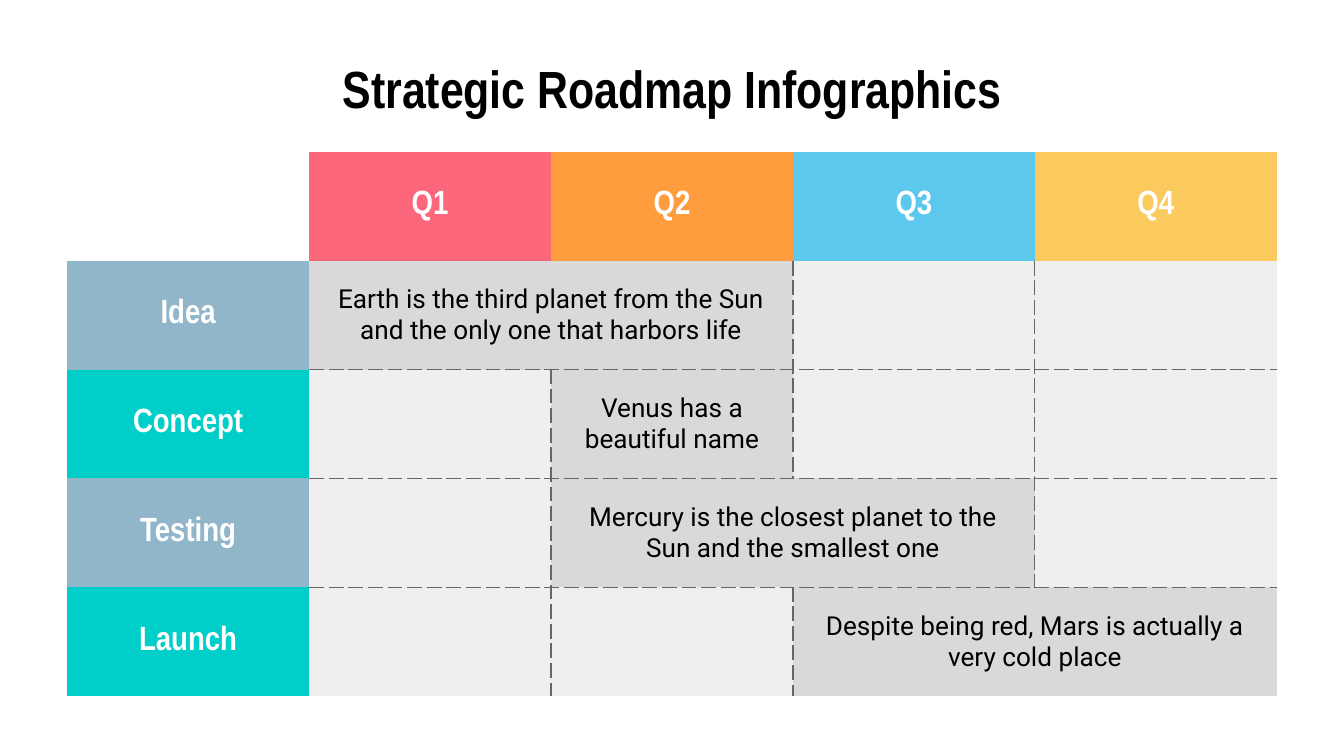
from pptx import Presentation
from pptx.dml.color import RGBColor
from pptx.enum.text import MSO_ANCHOR, MSO_AUTO_SIZE, PP_ALIGN
from pptx.oxml import parse_xml
from pptx.oxml.ns import nsdecls
from pptx.util import Inches, Pt

BLACK = RGBColor(0x00, 0x00, 0x00)
WHITE = RGBColor(0xFF, 0xFF, 0xFF)
PINK = RGBColor(0xFD, 0x67, 0x7B)
ORANGE = RGBColor(0xFF, 0x9C, 0x3E)
SKY = RGBColor(0x5C, 0xC8, 0xEE)
YELLOW = RGBColor(0xFB, 0xCA, 0x5F)
STEEL = RGBColor(0x92, 0xB6, 0xC9)
TEAL = RGBColor(0x00, 0xCE, 0xC8)
BAR = RGBColor(0xD9, 0xD9, 0xD9)
EMPTY = RGBColor(0xEF, 0xEF, 0xEF)
GRID = RGBColor(0x66, 0x66, 0x66)

TITLE_FONT = {"name": "Arial Narrow", "size": Pt(28), "bold": True}
HEADING_FONT = {"name": "Arial Narrow", "size": Pt(18), "bold": True}
TASK_FONT = {"name": "Roboto", "size": Pt(14), "bold": False}
MARGINS = {f"margin_{side}": Inches(0.1)
           for side in ("left", "right", "top", "bottom")}

QUARTERS = [("Q1", PINK), ("Q2", ORANGE), ("Q3", SKY), ("Q4", YELLOW)]
# Phase, colour, first quarter, last quarter, task
PHASES = [
    ("Idea", STEEL, 1, 2,
     "Earth is the third planet from the Sun and the only one that harbors life"),
    ("Concept", TEAL, 2, 2, "Venus has a beautiful name"),
    ("Testing", STEEL, 2, 3,
     "Mercury is the closest planet to the Sun and the smallest one"),
    ("Launch", TEAL, 3, 4,
     "Despite being red, Mars is actually a very cold place"),
]
SIZE = 5
LAST = SIZE - 1


def set_format(target, values):
    for name, value in values.items():
        setattr(target, name, value)


def write_text(frame, text, font, color):
    paragraph = frame.paragraphs[0]
    paragraph.alignment = PP_ALIGN.CENTER
    span = paragraph.add_run()
    span.text = text
    set_format(span.font, font)
    span.font.color.rgb = color


def add_title(page, text):
    title = page.shapes.title
    set_format(title, {"left": Inches(0.5), "top": Inches(0.45),
                       "width": Inches(9), "height": Inches(0.41)})
    set_format(title.text_frame, {**MARGINS, "word_wrap": True,
                                  "auto_size": MSO_AUTO_SIZE.NONE,
                                  "vertical_anchor": MSO_ANCHOR.MIDDLE})
    write_text(title.text_frame, text, TITLE_FONT, BLACK)


def set_borders(cell, dashed):
    """Dash the named sides (L, R, T, B) and clear the others."""
    properties = cell._tc.get_or_add_tcPr()
    for side in "LRTB":
        if side in dashed:
            line = (f'<a:solidFill><a:srgbClr val="{GRID}"/></a:solidFill>'
                    '<a:prstDash val="dash"/>')
        else:
            line = "<a:noFill/>"
        properties.append(parse_xml(
            f'<a:ln{side} {nsdecls("a")} w="{Pt(0.75)}">{line}</a:ln{side}>'))


def inner_sides(row, first, last):
    """Sides of a block that lie inside the quarter grid."""
    inside = {"L": first > 1, "R": last < LAST, "T": row > 1, "B": row < LAST}
    return [side for side, is_inside in inside.items() if is_inside]


def style_cell(cell, fill=None, borders=()):
    set_format(cell, {**MARGINS, "vertical_anchor": MSO_ANCHOR.MIDDLE})
    set_borders(cell, borders)
    if fill is None:
        cell.fill.background()
    else:
        cell.fill.solid()
        cell.fill.fore_color.rgb = fill


def add_heading(cell, text, fill):
    style_cell(cell, fill)
    write_text(cell.text_frame, text, HEADING_FONT, WHITE)


def add_phase(table, row, name, color, first, last, task):
    add_heading(table.cell(row, 0), name, color)
    for column in range(1, SIZE):
        in_bar = first <= column <= last
        block = (first, last) if in_bar else (column, column)
        style_cell(table.cell(row, column), BAR if in_bar else EMPTY,
                   inner_sides(row, *block))
    start = table.cell(row, first)
    if last > first:
        start.merge(table.cell(row, last))
    write_text(start.text_frame, task, TASK_FONT, BLACK)


def add_roadmap(page):
    column_width, row_height = Inches(1.8), Inches(0.81)
    table = page.shapes.add_table(SIZE, SIZE, Inches(0.5), Inches(1.13),
                                  SIZE * column_width, SIZE * row_height).table
    set_format(table, {"first_row": False, "horz_banding": False})
    for column in table.columns:
        column.width = column_width
    for row in table.rows:
        row.height = row_height

    # Quarter headings beside an empty corner
    style_cell(table.cell(0, 0))
    for column, (name, color) in enumerate(QUARTERS, 1):
        add_heading(table.cell(0, column), name, color)

    # Phases with their task bars
    for row, phase in enumerate(PHASES, 1):
        add_phase(table, row, *phase)


def main():
    deck = Presentation()
    # Widescreen page, 16:9
    deck.slide_width = Inches(10)
    deck.slide_height = deck.slide_width * 9 // 16
    page = deck.slides.add_slide(deck.slide_layouts[5])
    add_title(page, "Strategic Roadmap Infographics")
    add_roadmap(page)
    deck.save("out.pptx")


if __name__ == "__main__":
    main()
